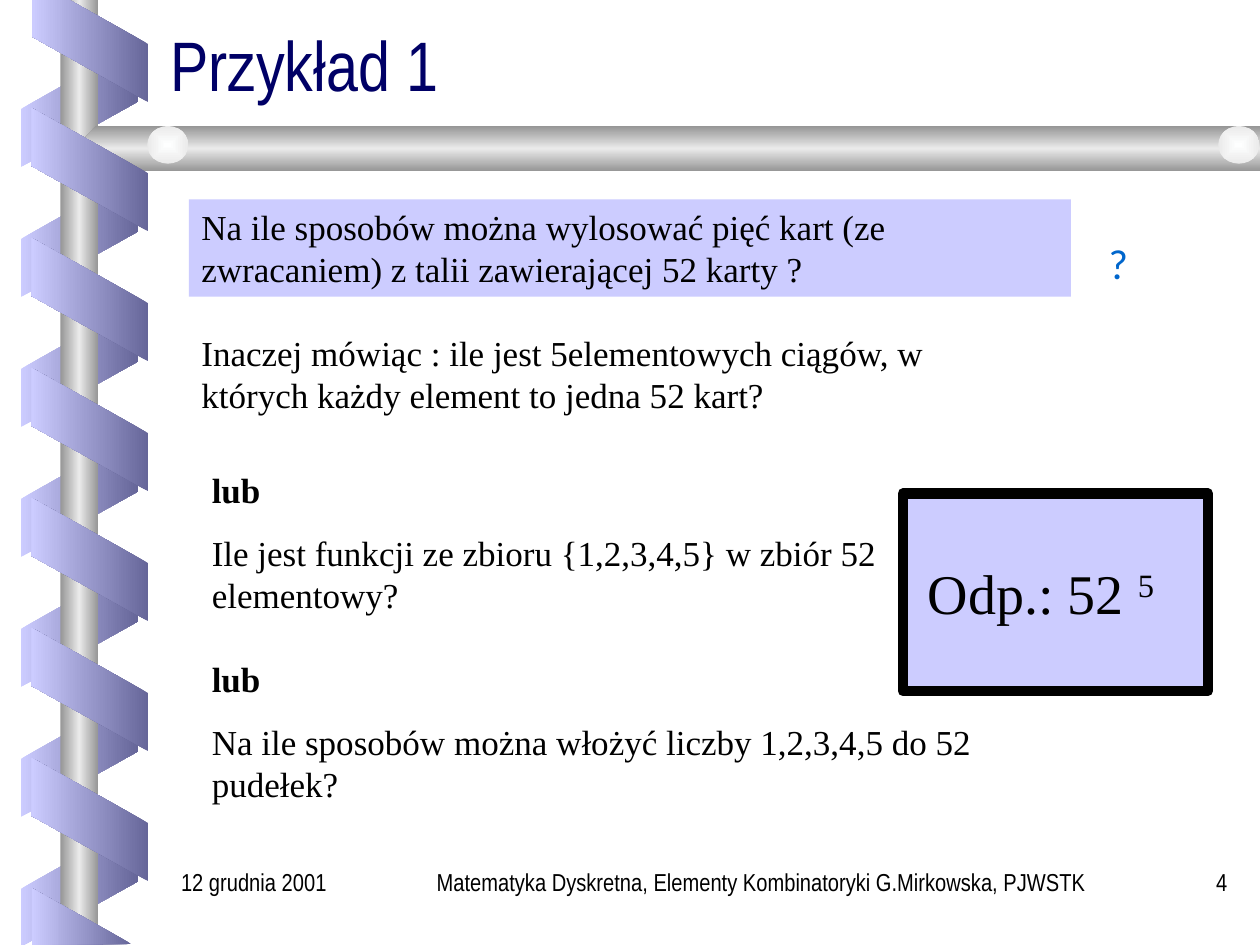
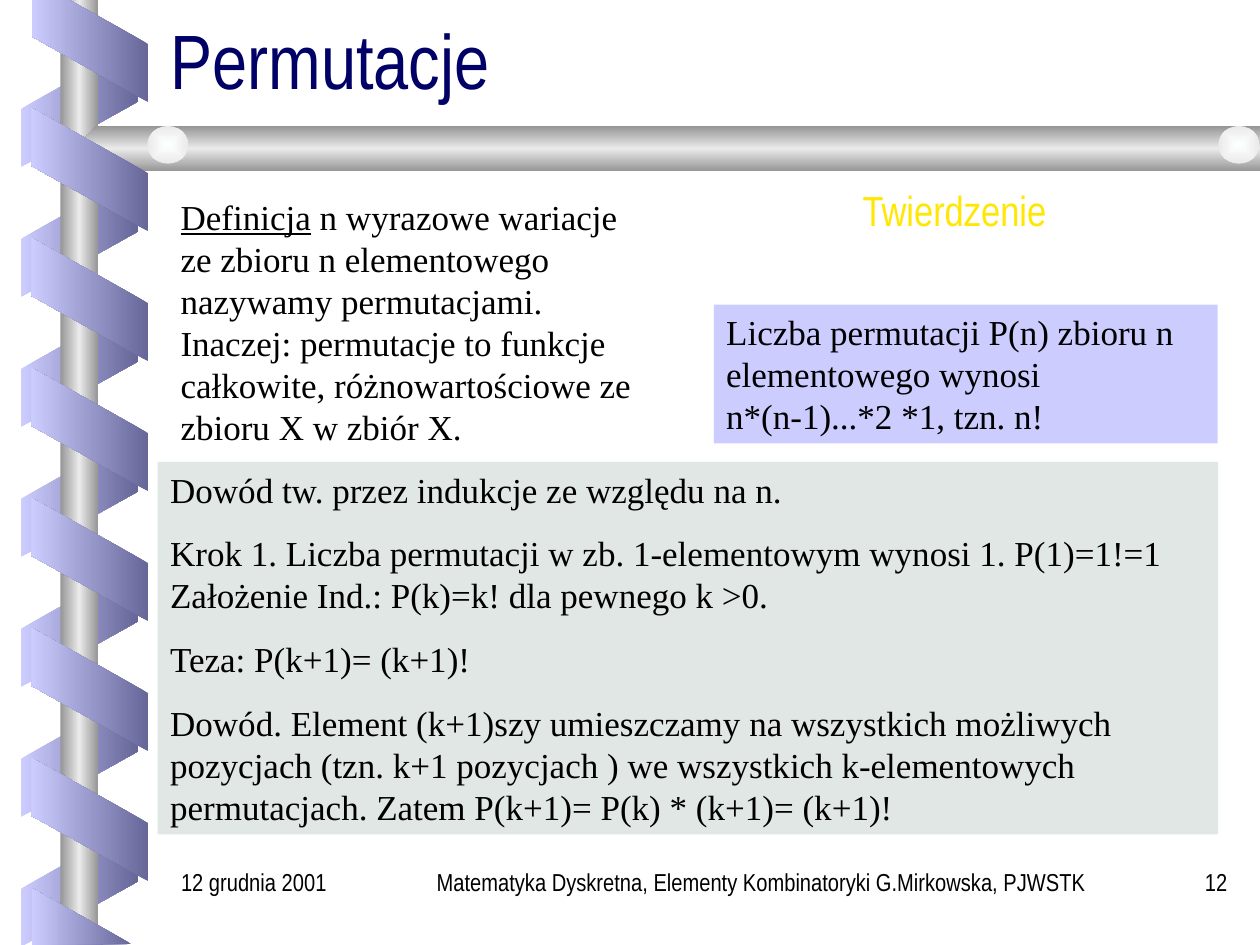
import pptx
import pptx.util
import pptx.oxml
import pptx.oxml.ns
import pptx.dml.color
import pptx.enum.shapes
import pptx.enum.text

Cm, Pt = pptx.util.Cm, pptx.util.Pt
SHAPE = pptx.enum.shapes.MSO_SHAPE
ALIGN = pptx.enum.text.PP_ALIGN
ANCHOR = pptx.enum.text.MSO_ANCHOR

COLORS = {
    "title": "000066", "text": "000000", "lilac": "CCCCFF", "violet": "666699",
    "steel": "969696", "silver": "EAEAEA", "pearl": "FEFFFF", "white": "FFFFFF",
    "mist": "E1E7E4", "blue": "0066CC", "yellow": "FFE701",
}
SERIF, NARROW = "Times New Roman", "Arial Narrow"
FOOTER = "Matematyka Dyskretna, Elementy Kombinatoryki G.Mirkowska, PJWSTK"
DATE = "12 grudnia 2001"

TUBE = ("steel", "silver", "steel")
BACK = ("lilac", "violet")
FRONT = ("violet", "lilac")
TURN = 2.62  # distance between turns of the ribbon, cm


def rgb(name):
    return pptx.dml.color.RGBColor.from_string(COLORS[name])


def set_gradient(sp, names, angle=None):
    """Linear gradient at an angle, or one from the centre when there is none."""
    stops = "".join(
        f'<a:gs pos="{round(100000 * i / (len(names) - 1))}">'
        f'<a:srgbClr val="{COLORS[name]}"/></a:gs>' for i, name in enumerate(names))
    if angle is None:
        way = ('<a:path path="rect"><a:fillToRect l="50000" t="50000" '
               'r="50000" b="50000"/></a:path>')
    else:
        way = f'<a:lin ang="{angle * 60000}" scaled="0"/>'
    grad = pptx.oxml.parse_xml(
        f'<a:gradFill {pptx.oxml.ns.nsdecls("a")} rotWithShape="0">'
        f'<a:gsLst>{stops}</a:gsLst>{way}</a:gradFill>')
    sp.fill.background()
    spPr = sp._element.spPr
    spPr.replace(spPr.find(pptx.oxml.ns.qn("a:noFill")), grad)


def add_gradient_shape(slide, kind, box, names, angle=None):
    sp = slide.shapes.add_shape(kind, *map(Cm, box))
    sp.shadow.inherit = False
    sp.line.fill.background()
    set_gradient(sp, names, angle)
    return sp


def add_outline(slide, origin, points, names, angle):
    """Closed outline whose points are relative to its origin."""
    pts = [(Cm(origin[0] + x), Cm(origin[1] + y)) for x, y in points]
    builder = slide.shapes.build_freeform(*pts[0])
    builder.add_line_segments(pts[1:], close=True)
    sp = builder.convert_to_shape()
    sp.shadow.inherit = False
    sp.line.fill.background()
    set_gradient(sp, names, angle)


def add_turns(slide, left, top, count, names, rotation, flip=False):
    for i in range(count):
        box = (left, top + i * TURN, 2.49, 2.36)
        sp = add_gradient_shape(slide, SHAPE.PARALLELOGRAM, box, names, 180)
        sp.adjustments[0] = 0.56
        sp.rotation = rotation
        if flip:
            sp._element.spPr.get_or_add_xfrm().set("flipH", "1")


def add_frame(slide, width, height):
    """Ribbon wound round a post, and the bar under the title."""
    add_turns(slide, 0.36, 0.94, 7, BACK, 90, flip=True)

    # Post, bar and knobs
    add_gradient_shape(slide, SHAPE.RECTANGLE, (1.22, 0, 0.76, height), TUBE, 180)
    bar_x, bar_y, bar_h = 1.52, 2.54, 0.91
    bar_w = width - bar_x
    add_outline(slide, (bar_x, bar_y),
                [(bar_w, 0), (0.41, 0), (0, bar_h / 2), (0.41, bar_h), (bar_w, bar_h)],
                TUBE, 90)
    for x in (2.97, width - 0.84):
        add_gradient_shape(slide, SHAPE.OVAL, (x, bar_y, 0.83, 0.76), ("pearl", "silver"))

    # Front of the ribbon, cut at the top and bottom edges
    add_turns(slide, 0.57, 2.24, 6, FRONT, 270)
    add_outline(slide, (0.65, 0),
                [(0, 0), (0, 0.74), (2.34, 2.06), (2.34, 0.89), (0.75, 0)], FRONT, 180)
    add_outline(slide, (0.65, height - 1.14), [(2, 1.12), (0, 0), (0, 1.14)], FRONT, 180)


def set_font(font, size, name, color):
    font.size, font.name = Pt(size), name
    font.color.rgb = rgb(color)


def add_text(slide, box, paras, fill=None, size=20, font=SERIF, color="text",
             align=ALIGN.LEFT, gap=12.5, wrap=True):
    """Each paragraph is a string or a list of (text, font attribute) runs."""
    if fill:
        sp = slide.shapes.add_shape(SHAPE.RECTANGLE, *map(Cm, box))
        sp.shadow.inherit = False
        sp.fill.solid()
        sp.fill.fore_color.rgb = rgb(fill)
        sp.line.fill.background()
    else:
        sp = slide.shapes.add_textbox(*map(Cm, box))
    tf = sp.text_frame
    tf.word_wrap = wrap
    tf.vertical_anchor = ANCHOR.TOP
    for i, para in enumerate(paras):
        p = tf.paragraphs[0] if i == 0 else tf.add_paragraph()
        p.alignment = align
        if i:
            p.space_before = Pt(gap)
        for text, attribute in [(para, None)] if isinstance(para, str) else para:
            for n, line in enumerate(text.split("\n")):
                if n:
                    p.add_line_break()
                r = p.add_run()
                r.text = line
                if attribute:
                    setattr(r.font, attribute, True)
        set_font(p.font, size, font, color)
    return sp


def add_title(slide, box, text, size):
    sp = slide.shapes.title
    sp.left, sp.top, sp.width, sp.height = map(Cm, box)
    tf = sp.text_frame
    tf.text = text
    tf.auto_size = pptx.enum.text.MSO_AUTO_SIZE.NONE
    tf.vertical_anchor = ANCHOR.BOTTOM
    p = tf.paragraphs[0]
    p.alignment = ALIGN.LEFT
    p.line_spacing = 0.8
    set_font(p.font, size, NARROW, "title")


def add_footer(slide, top, number):
    for left, width, text, align in ((8.05, 14.6, FOOTER, ALIGN.CENTER),
                                     (22.86, 2.13, str(number), ALIGN.RIGHT),
                                     (3.4, 4.42, DATE, ALIGN.LEFT)):
        add_text(slide, (left, top, width, 1.27), [text], size=14, font=NARROW, align=align)


def add_base_slide(prs, title, title_size, number):
    slide = prs.slides.add_slide(prs.slide_layouts[5])
    add_frame(slide, prs.slide_width.cm, prs.slide_height.cm)
    add_title(slide, (3.18, 0.64, 21.59, 1.6), title, title_size)
    add_footer(slide, 17.35, number)
    return slide


def add_answer(slide, box):
    """Framed answer with a raised exponent."""
    sp = add_text(slide, box, ["Odp.: 52 "], fill="lilac", size=32)
    sp.line.color.rgb = rgb("text")
    sp.line.width = Pt(6)
    tf = sp.text_frame
    tf.vertical_anchor = ANCHOR.MIDDLE
    tf.margin_left = Cm(0.5)
    r = tf.paragraphs[0].add_run()
    r.text = "5"
    r._r.get_or_add_rPr().set("baseline", "30000")


def add_example_slide(prs):
    slide = add_base_slide(prs, "Przykład 1", 40, 4)

    # Question and its rewording
    add_text(slide, (3.81, 4.02, 17.78, 1.96),
             ["Na ile sposobów można wylosować pięć kart (ze zwracaniem) "
              "z talii zawierającej 52 karty ?"], fill="lilac")
    add_text(slide, (3.81, 6.56, 16.51, 1.96),
             ["Inaczej mówiąc : ile jest 5elementowych ciągów, w których "
              "każdy element to jedna 52 kart?"])
    add_answer(slide, (18.2, 9.95, 6.15, 3.98))

    # Equivalent questions
    for top, width, question in (
            (9.31, 15.24, "Ile jest funkcji ze zbioru {1,2,3,4,5} w zbiór 52 elementowy?"),
            (13.12, 16.09, "Na ile sposobów można włożyć liczby 1,2,3,4,5 do 52 pudełek?")):
        add_text(slide, (4.02, top, width, 3.25), [[("lub", "bold")], question])
    add_text(slide, (21.38, 4.66, 2.33, 3.18), ["?"], size=24, font="Calibri",
             color="blue", align=ALIGN.CENTER, wrap=False)


def add_permutation_slide(prs):
    slide = add_base_slide(prs, "Permutacje", 44, 12)

    # Definition
    add_text(slide, (3.39, 3.81, 9.95, 5.33),
             [[("Definicja", "underline"),
               (" n wyrazowe wariacje ze zbioru n elementowego nazywamy permutacjami.\n"
                "Inaczej: permutacje to funkcje całkowite, różnowartościowe ze zbioru X "
                "w zbiór X.", None)]], fill="white")

    # Theorem
    add_text(slide, (14.39, 6.14, 10.16, 2.8),
             ["Liczba permutacji P(n) zbioru n elementowego wynosi\n"
              "n*(n-1)...*2 *1, tzn. n!"], fill="lilac")
    add_text(slide, (16.09, 3.6, 6.3, 2.44), ["Twierdzenie"], size=24, font=NARROW,
             color="yellow", align=ALIGN.CENTER, wrap=False)

    # Proof
    add_text(slide, (3.18, 9.31, 21.38, 7.51),
             ["Dowód tw. przez indukcje ze względu na n.",
              "Krok 1. Liczba permutacji w zb. 1-elementowym wynosi 1. P(1)=1!=1\n"
              "Założenie Ind.: P(k)=k! dla pewnego k >0.",
              "Teza: P(k+1)= (k+1)!",
              "Dowód. Element (k+1)szy umieszczamy na wszystkich możliwych pozycjach "
              "(tzn. k+1 pozycjach ) we wszystkich k-elementowych permutacjach. "
              "Zatem P(k+1)= P(k) * (k+1)= (k+1)!"], fill="mist")


def main():
    prs = pptx.Presentation()
    prs.slide_width, prs.slide_height = Cm(25.4), Cm(19.05)
    add_example_slide(prs)
    add_permutation_slide(prs)
    prs.save("out.pptx")


if __name__ == "__main__":
    main()
